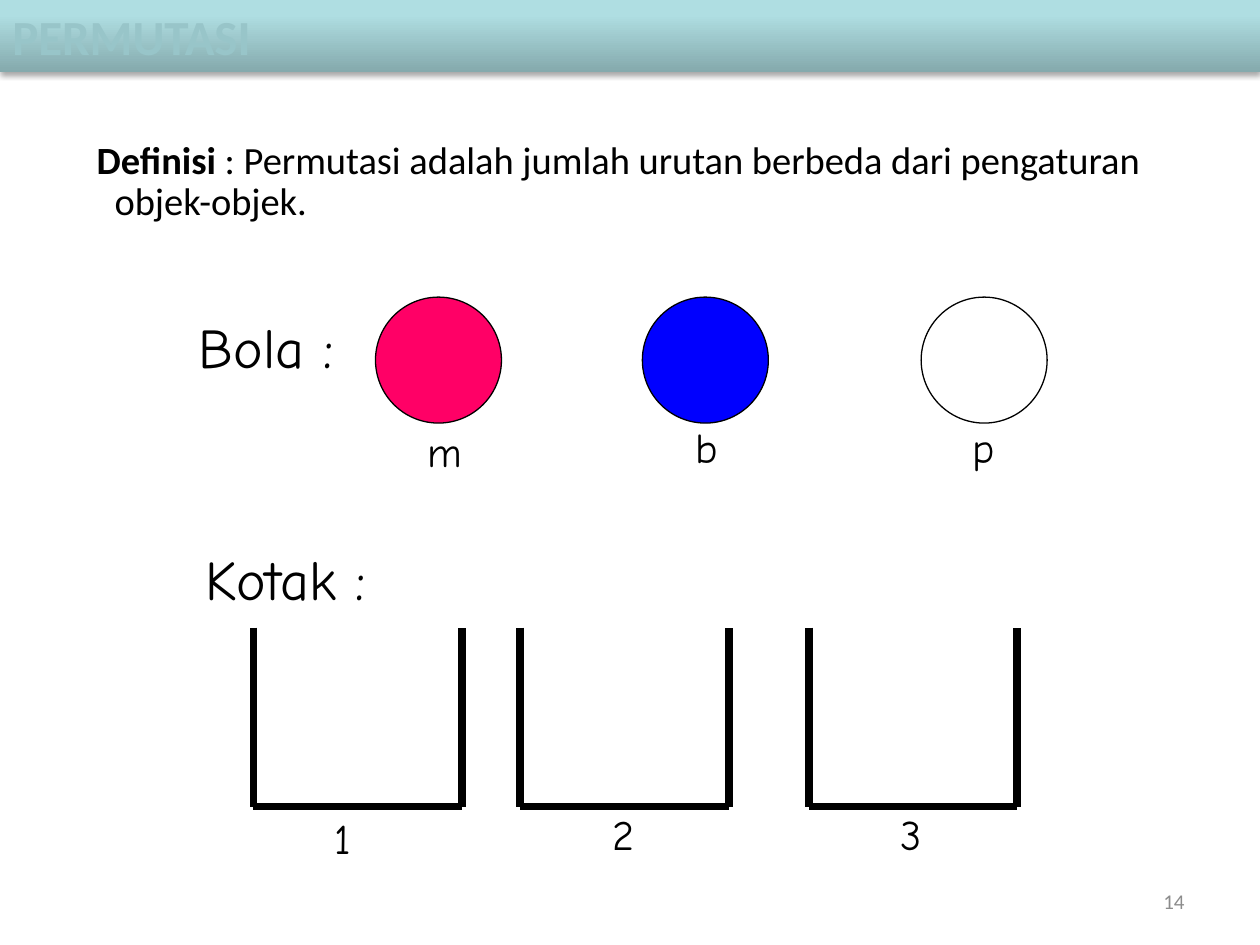
from lxml import etree
from pptx import Presentation
from pptx.dml.color import RGBColor
from pptx.enum import shapes, text
from pptx.oxml import parse_xml
from pptx.oxml.ns import nsdecls, qn
from pptx.util import Cm, Pt

COLORS = {"ink": "000000", "number": "8C8C8C", "red": "FF0066",
          "blue": "0000FF", "white": "FFFFFF"}
BAR_STOPS = [(0, "85AAAD"), (80, "AFDEE2"), (100, "AFE0E4")]
TITLE_STOPS = [(0, "ADD4D7"), (49, "98C5C9"), (50, "95BDC0"),
               (92, "86A7AA"), (100, "83A4A6")]
BODY, HAND = "Calibri", "Comic Neue"


def rgb(name):
    return RGBColor.from_string(COLORS[name])


def gradient(stops, angle):
    """Linear gradient fill; the angle runs clockwise in degrees."""
    marks = "".join(f'<a:gs pos="{pos * 1000}"><a:srgbClr val="{color}"/></a:gs>'
                    for pos, color in stops)
    return parse_xml(f'<a:gradFill {nsdecls("a")} rotWithShape="1"><a:gsLst>{marks}'
                     f'</a:gsLst><a:lin ang="{angle * 60000}" scaled="0"/></a:gradFill>')


def add_label(parent, box, words, size, font=HAND, color="ink", wrap=False):
    label = parent.add_textbox(*map(Cm, box))
    frame = label.text_frame
    frame.word_wrap = wrap
    paragraph = frame.paragraphs[0]
    paragraph.text = words
    paragraph.font.size = Pt(size)
    paragraph.font.name = font
    paragraph.font.color.rgb = rgb(color)
    return label


def add_wall(parent, start, end):
    wall = parent.add_connector(shapes.MSO_CONNECTOR.STRAIGHT,
                                *map(Cm, start + end))
    wall.line.color.rgb = rgb("ink")
    wall.line.width = Pt(4.5)
    etree.SubElement(wall._element.spPr, qn("a:effectLst"))


def title_bar(slide, left, top, width, height):
    bar = slide.shapes.add_shape(shapes.MSO_SHAPE.RECTANGLE,
                                 *map(Cm, (left, top, width, height)))
    bar.line.fill.background()
    bar.fill.solid()
    properties = bar._element.spPr
    properties.replace(properties.find(qn("a:solidFill")), gradient(BAR_STOPS, 270))
    # Soft shadow below the bar
    properties.append(parse_xml(
        f'<a:effectLst {nsdecls("a")}><a:outerShdw blurRad="39370" dist="22860" '
        'dir="5400000" rotWithShape="0"><a:srgbClr val="000000">'
        '<a:alpha val="35000"/></a:srgbClr></a:outerShdw></a:effectLst>'))
    frame = bar.text_frame
    frame.word_wrap = True
    frame.vertical_anchor = text.MSO_ANCHOR.TOP
    paragraph = frame.paragraphs[0]
    paragraph.alignment = text.PP_ALIGN.LEFT
    title = paragraph.add_run()
    title.text = "PERMUTASI"
    title.font.size = Pt(28)
    title.font.bold = True
    title.font.name = BODY
    title._r.get_or_add_rPr().insert(0, gradient(TITLE_STOPS, 90))


def definition(slide, left, top, width, height):
    box = add_label(slide.shapes, (left, top, width, height), "Definisi", 22,
                    BODY, wrap=True)
    paragraph = box.text_frame.paragraphs[0]
    paragraph.line_spacing = 0.9
    paragraph.runs[0].font.bold = True
    paragraph.add_run().text = (" : Permutasi adalah jumlah urutan berbeda "
                                "dari pengaturan objek-objek.")
    # Hanging indent for the second line
    indent = Cm(0.36)
    paragraph_properties = paragraph._p.get_or_add_pPr()
    paragraph_properties.set("marL", str(indent))
    paragraph_properties.set("indent", str(-indent))


def balls(slide, left, top):
    group = slide.shapes.add_group_shape().shapes
    diameter = 2.54
    # Ball offset, colour, letter, letter offset and width
    for x, color, letter, dx, dy, width in (
            (3.81, "red", "m", 4.6, 2.47, 1.17),
            (9.19, "blue", "b", 10.01, 2.39, 1.02),
            (14.81, "white", "p", 15.6, 2.39, 0.97)):
        ball = group.add_shape(shapes.MSO_SHAPE.OVAL, Cm(left + x), Cm(top),
                               Cm(diameter), Cm(diameter))
        ball.shadow.inherit = False
        ball.fill.solid()
        ball.fill.fore_color.rgb = rgb(color)
        ball.line.color.rgb = rgb("ink")
        ball.line.width = Pt(0.75)
        add_label(group, (left + dx, top + dy, width, 1.27), letter, 24)
    add_label(group, (left, top + 0.18, 3.38, 1.6), "Bola :", 32)


def boxes(slide, left, top):
    group = slide.shapes.add_group_shape().shapes
    rim, floor, span = top + 1.8, top + 5.41, 4.2
    # Box offset, number, number offset and width
    for x, number, dx, dy, width in ((1.22, "1", 2.61, 5.41, 0.89),
                                     (6.6, "2", 8.2, 5.33, 1.02),
                                     (12.42, "3", 14.02, 5.33, 1.02)):
        near, far = left + x, left + x + span
        corners = [(near, rim), (near, floor), (far, floor), (far, rim)]
        for start, end in zip(corners, corners[1:]):
            add_wall(group, start, end)
        add_label(group, (left + dx, top + dy, width, 1.27), number, 24)
    add_label(group, (left, top, 4.19, 1.6), "Kotak :", 32)


def slide_number(slide, left, top, width, height):
    number = add_label(slide.shapes, (left, top, width, height), "14", 12,
                       BODY, "number", wrap=True)
    number.text_frame.vertical_anchor = text.MSO_ANCHOR.MIDDLE
    number.text_frame.paragraphs[0].alignment = text.PP_ALIGN.RIGHT


def main():
    deck = Presentation()
    deck.slide_width, deck.slide_height = Cm(25.4), Cm(19.05)
    slide = deck.slides.add_slide(deck.slide_layouts[6])
    slide_number(slide, 18.2, 17.66, 5.93, 1.01)
    title_bar(slide, 0, 0, 25.4, 1.45)
    balls(slide, 3.76, 5.99)
    boxes(slide, 3.89, 10.85)
    definition(slide, 1.7, 2.72, 22.45, 1.96)
    deck.save("out.pptx")


if __name__ == "__main__":
    main()
